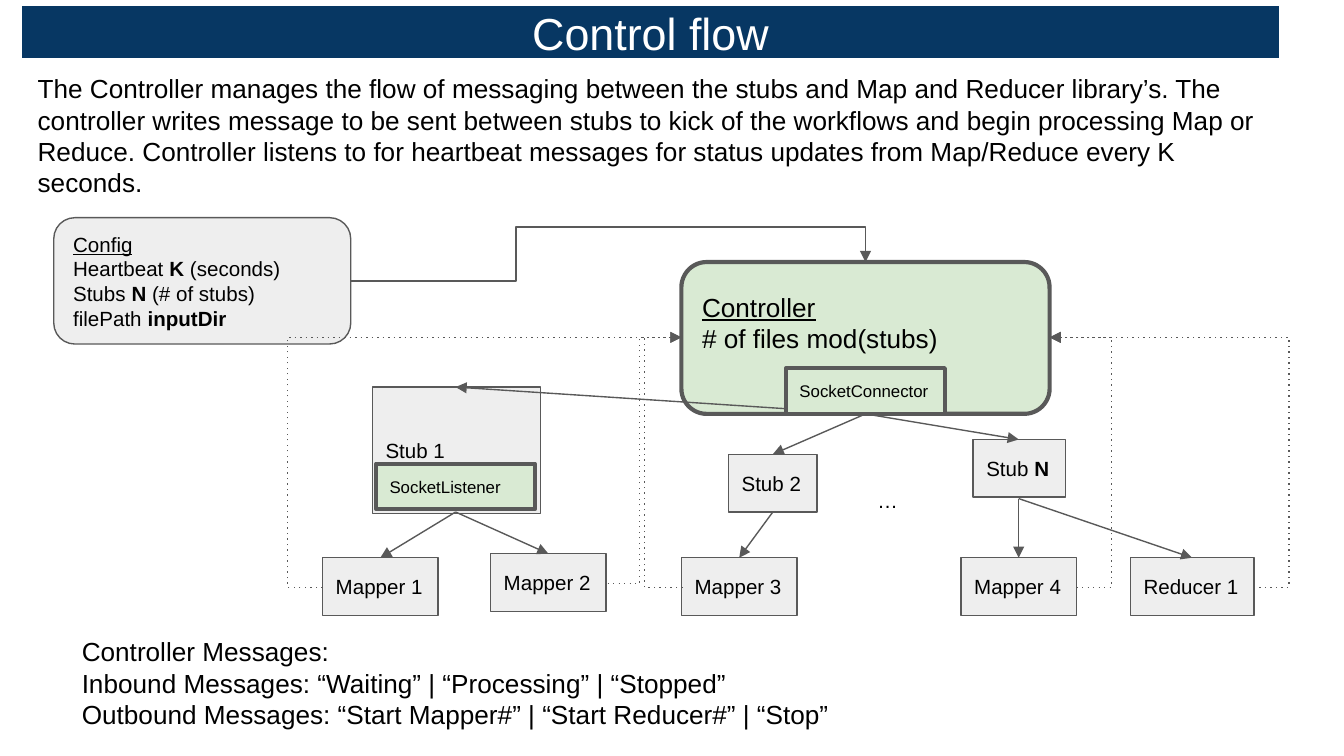
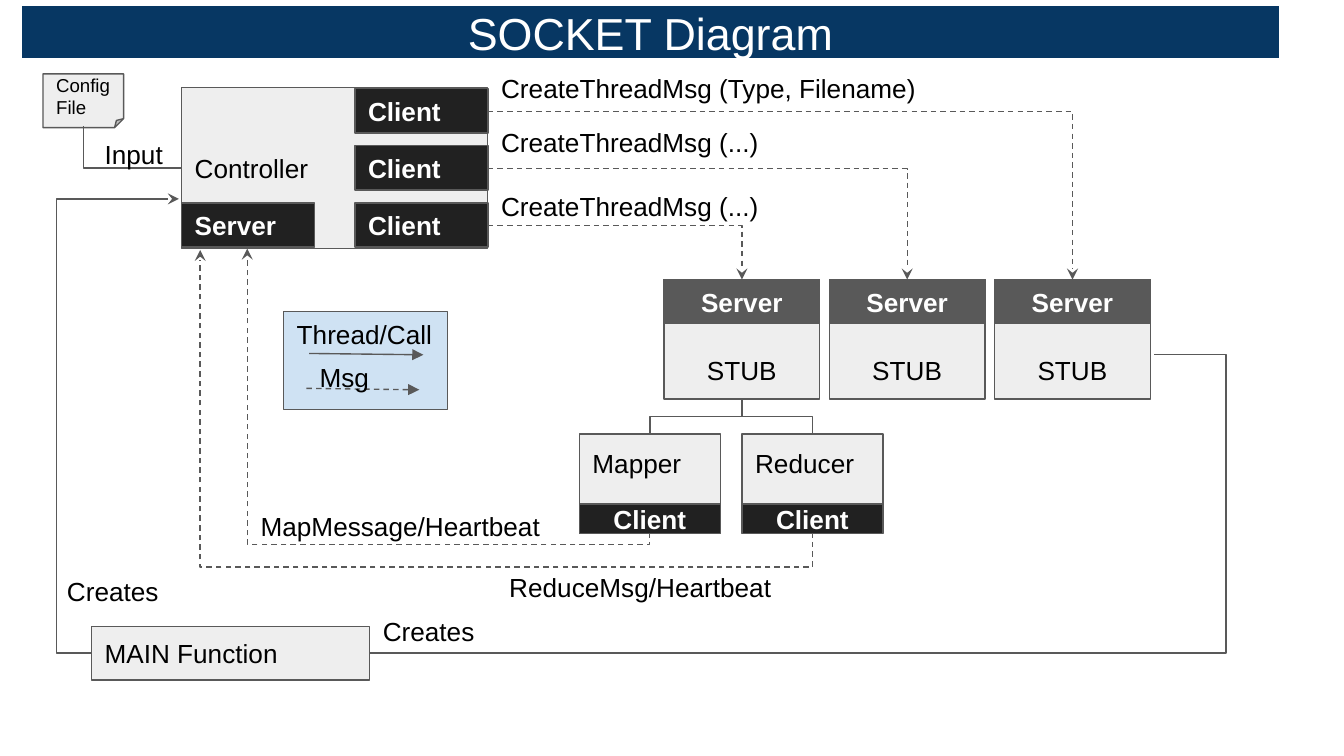
from dataclasses import dataclass
from typing import NamedTuple, Optional

from lxml.etree import SubElement
from pptx import Presentation
from pptx.dml.color import RGBColor
from pptx.enum.shapes import MSO_CONNECTOR as CONN, MSO_SHAPE as SHAPE
from pptx.enum.text import MSO_ANCHOR as ANCHOR, MSO_AUTO_SIZE as AUTOSIZE, PP_ALIGN as ALIGN
from pptx.oxml.ns import qn
from pptx.util import Inches, Pt


@dataclass(frozen=True)
class Theme:
    font: str = "Arial"
    navy: str = "073763"
    white: str = "FFFFFF"
    black: str = "000000"
    ink: str = "212121"
    gray: str = "595959"
    light: str = "EEEEEE"
    green: str = "D9EAD3"
    blue: str = "CFE2F3"
    title: int = 24
    body: int = 14
    label: int = 11
    note: int = 10
    small: int = 9
    thin: float = 0.75
    thick: float = 2.25
    inset: float = 0.1


T = Theme()


class Run(NamedTuple):
    text: str
    bold: bool = False
    underline: bool = False


class Rect(NamedTuple):
    x: float
    y: float
    w: float
    h: float


class Point(NamedTuple):
    x: float
    y: float


@dataclass(frozen=True)
class Box:
    """A filled, outlined shape; each paragraph is a list of runs."""
    at: Rect
    paras: tuple = ()
    size: int = T.body
    fill: str = T.light
    color: str = T.black
    weight: float = T.thin
    kind: SHAPE = SHAPE.RECTANGLE
    anchor: ANCHOR = ANCHOR.MIDDLE
    align: ALIGN = ALIGN.LEFT
    bold: bool = False
    bottom: float = T.inset


@dataclass(frozen=True)
class Arrow:
    """A line; bends alternate between the first and the second axis."""
    start: Point
    end: Point
    head: Optional[str] = "triangle"
    dash: Optional[str] = None
    bends: Optional[tuple] = None  # None is straight, () is one corner
    down_first: bool = False


def rgb(value: str) -> RGBColor:
    return RGBColor.from_string(value)


def apply(target, values: dict) -> None:
    for name, value in values.items():
        setattr(target, name, value)


def place(sp, at: Rect) -> None:
    apply(sp, dict(zip(("left", "top", "width", "height"), map(Inches, at))))


def write(tf, paras, size: int, color: str = T.black, bold: bool = False,
          anchor: ANCHOR = ANCHOR.TOP, align: ALIGN = ALIGN.LEFT,
          bottom: float = T.inset) -> None:
    inset = Inches(T.inset)
    apply(tf, {"word_wrap": True, "auto_size": AUTOSIZE.NONE, "vertical_anchor": anchor,
               "margin_left": inset, "margin_right": inset,
               "margin_top": inset, "margin_bottom": Inches(bottom)})
    for i, runs in enumerate(paras):
        p = tf.add_paragraph() if i else tf.paragraphs[0]
        apply(p, {"alignment": align, "space_before": Pt(0)})
        for run in [Run(runs)] if isinstance(runs, str) else runs:
            r = p.add_run()
            r.text = run.text
            apply(r.font, {"name": T.font, "size": Pt(size), "bold": bold or run.bold,
                           "underline": run.underline})
            r.font.color.rgb = rgb(color)


def paint(sp, fill: str, line: str, weight: float) -> None:
    sp.fill.solid()
    sp.fill.fore_color.rgb = rgb(fill)
    sp.line.color.rgb = rgb(line)
    sp.line.width = Pt(weight)


def add_box(slide, box: Box) -> None:
    sp = slide.shapes.add_shape(box.kind, *map(Inches, box.at))
    sp.shadow.inherit = False
    paint(sp, box.fill, T.gray, box.weight)
    write(sp.text_frame, box.paras, box.size, box.color, box.bold,
          box.anchor, box.align, box.bottom)


def add_label(slide, at: Rect, *paras: str, size: int = T.body) -> None:
    write(slide.shapes.add_textbox(*map(Inches, at)).text_frame, paras, size)


def bend(sp, a: Arrow) -> None:
    """Turn a connector into an elbow that passes through the given bends."""
    dx, dy = a.end.x - a.start.x, a.end.y - a.start.y
    w, h = abs(dx), abs(dy)
    if a.down_first:
        turn, flip = (90, dy < 0) if dx < 0 else (270, dy > 0)
        cx, cy = (a.start.x + a.end.x) / 2, (a.start.y + a.end.y) / 2
        place(sp, Rect(cx - h / 2, cy - w / 2, h, w))
    else:
        turn, flip = (180, dx > 0) if dy < 0 else (0, dx < 0)
    xfrm = sp._element.spPr.find(qn("a:xfrm"))
    xfrm.set("rot", str(turn * 60000))
    xfrm.set("flipH", str(int(flip)))
    xfrm.set("flipV", "0")
    geom = sp._element.spPr.find(qn("a:prstGeom"))
    geom.set("prst", f"bentConnector{len(a.bends) + 2}")
    guides = geom.find(qn("a:avLst"))
    for i, value in enumerate(a.bends):
        axis = (i + a.down_first) % 2
        share = (value - a.start[axis]) / (a.end[axis] - a.start[axis])
        SubElement(guides, qn("a:gd"), name=f"adj{i + 1}", fmla=f"val {round(share * 100000)}")


def add_arrow(slide, a: Arrow) -> None:
    kind = CONN.STRAIGHT if a.bends is None else CONN.ELBOW
    sp = slide.shapes.add_connector(kind, *map(Inches, (*a.start, *a.end)))
    if a.bends is not None:
        bend(sp, a)
    sp.line.color.rgb = rgb(T.gray)
    sp.line.width = Pt(T.thin)
    ln = sp.line._get_or_add_ln()
    if a.dash:
        SubElement(ln, qn("a:prstDash"), val=a.dash)
    if a.head:
        SubElement(ln, qn("a:tailEnd"), type=a.head)
    SubElement(sp._element.spPr, qn("a:effectLst"))


def add_slide(prs, layout: int, title: str):
    """Add a slide with the shared navy title band."""
    slide = prs.slides.add_slide(prs.slide_layouts[layout])
    sp = slide.shapes.title
    place(sp, Rect(0.16, 0.04, 9.36, 0.4))
    paint(sp, T.navy, T.white, T.thin)
    write(sp.text_frame, [title], T.title, T.white, anchor=ANCHOR.MIDDLE, align=ALIGN.CENTER)
    return slide


def build_control_flow(prs) -> None:
    slide = add_slide(prs, 1, "Control flow")

    # Introduction
    body = slide.placeholders[1]
    place(body, Rect(0.18, 0.44, 9.34, 1.13))
    write(body.text_frame, [
        "The Controller manages the flow of messaging between the stubs and Map and Reducer "
        "library’s. The controller writes message to be sent between stubs to kick of the "
        "workflows and begin processing Map or Reduce. Controller listens to for heartbeat "
        "messages for status updates from Map/Reduce every K seconds."], T.body)
    pPr = body.text_frame.paragraphs[0]._p.get_or_add_pPr()
    pPr.set("marL", "0")
    pPr.set("indent", "0")
    SubElement(pPr, qn("a:buNone"))

    # Config, controller and stubs
    config = ([Run("Config", underline=True)],
              [Run("Heartbeat "), Run("K ", True), Run("(seconds)")],
              [Run("Stubs "), Run("N ", True), Run("(# of stubs)")],
              [Run("filePath "), Run("inputDir", True)])
    add_box(slide, Box(Rect(0.4, 1.62, 2.21, 0.94), config, T.label,
                       kind=SHAPE.ROUNDED_RECTANGLE))
    add_box(slide, Box(Rect(5.07, 1.95, 2.74, 1.13),
                       ([Run("Controller", underline=True)], "# of files mod(stubs)"),
                       fill=T.green, weight=T.thick, kind=SHAPE.ROUNDED_RECTANGLE, bottom=0.33))
    for at, text in ((Rect(2.77, 2.88, 1.25, 0.94), "Stub 1"),
                     (Rect(5.42, 3.38, 0.66, 0.43), "Stub 2"),
                     (Rect(7.24, 3.27, 0.69, 0.43), [Run("Stub "), Run("N", True)])):
        add_box(slide, Box(at, (text,), T.label))
    add_label(slide, Rect(6.43, 3.53, 0.37, 0.39), "…", size=T.label)

    # Workers
    for x, y, w, text in ((2.4, 4.15, 0.86, "Mapper 1"), (3.65, 4.12, 0.86, "Mapper 2"),
                          (5.07, 4.15, 0.86, "Mapper 3"), (7.15, 4.15, 0.86, "Mapper 4"),
                          (8.41, 4.15, 0.92, "Reducer 1")):
        add_box(slide, Box(Rect(x, y, w, 0.43), (text,), T.label))

    # Calls from each parent to its children
    calls = {Point(6.44, 3.08): ((3.39, 2.88), (5.75, 3.38), (7.58, 3.27)),
             Point(3.39, 3.81): ((2.83, 4.15), (4.08, 4.12)),
             Point(5.75, 3.81): ((5.5, 4.15),),
             Point(7.58, 3.71): ((7.58, 4.15), (8.87, 4.15))}
    for start, ends in calls.items():
        for end in ends:
            add_arrow(slide, Arrow(start, Point(*end)))
    add_arrow(slide, Arrow(Point(2.61, 2.09), Point(6.44, 1.95), bends=(3.84, 1.69)))

    # Heartbeats back to the controller's sides
    left, right = Point(5.07, 2.51), Point(7.81, 2.51)
    for x, y, end, lane, head in ((2.4, 4.37, left, 2.14, "triangle"),
                                  (4.52, 4.34, left, 4.76, None),
                                  (5.08, 4.37, left, 4.79, "triangle"),
                                  (8.01, 4.37, right, 8.27, "triangle"),
                                  (9.33, 4.37, right, 9.59, "triangle")):
        add_arrow(slide, Arrow(Point(x, y), end, head, "dot", (lane,)))

    # Sockets and message list
    add_label(slide, Rect(0.51, 4.63, 7.12, 1.13), "Controller Messages:",
              "Inbound Messages: “Waiting” | “Processing” | “Stopped”",
              "Outbound Messages: “Start Mapper#” | “Start Reducer#” | “Stop”")
    for x, y, text in ((5.85, 2.74, "SocketConnector"), (2.8, 3.45, "SocketListener")):
        add_box(slide, Box(Rect(x, y, 1.18, 0.34), (text,), T.small, T.green, weight=T.thick))


def add_socket(slide, at: Rect, text: str, fill: str = T.ink,
               align: ALIGN = ALIGN.CENTER) -> None:
    add_box(slide, Box(at, (text,), fill=fill, color=T.white, bold=True, align=align))


def build_socket_diagram(prs) -> None:
    slide = add_slide(prs, 5, "SOCKET Diagram")

    # Controller with its sockets
    add_box(slide, Box(Rect(1.35, 0.65, 2.28, 1.2), ("Controller",)))
    add_socket(slide, Rect(1.35, 1.51, 0.99, 0.33), "Server", align=ALIGN.LEFT)

    # Each client sends to one stub, the top one to the farthest
    for i in range(3):
        y, x = 0.66 + 0.85 * i / 2, 7.4 - 1.23 * i
        add_socket(slide, Rect(2.64, y, 0.99, 0.33), "Client", align=ALIGN.LEFT)
        add_box(slide, Box(Rect(x, 2.08, 1.16, 0.89), ("STUB",),
                           anchor=ANCHOR.BOTTOM, align=ALIGN.CENTER))
        add_socket(slide, Rect(x, 2.08, 1.16, 0.33), "Server", T.gray)
        add_arrow(slide, Arrow(Point(3.63, y + 0.17), Point(x + 0.58, 2.08),
                               "stealth", "dash", ()))

    # Mapper and reducer report to the controller's server
    worker_w = 1.05
    for x, text, target, lane in ((4.31, "Mapper", Point(1.84, 1.85), 4.05),
                                  (5.52, "Reducer", Point(1.49, 1.86), 4.22)):
        center = x + worker_w / 2
        add_box(slide, Box(Rect(x, 3.23, worker_w, 0.73), (text,), anchor=ANCHOR.TOP))
        add_arrow(slide, Arrow(Point(5.52, 2.97), Point(center, 3.23), None,
                               bends=(3.1,), down_first=True))
        add_arrow(slide, Arrow(Point(center, 3.96), target, "stealth", "dash",
                               (lane,), down_first=True))
        add_socket(slide, Rect(x, 3.75, worker_w, 0.22), "Client")

    # Config file and main function
    add_box(slide, Box(Rect(0.32, 0.55, 0.6, 0.4), ("Config File",), T.note,
                       kind=SHAPE.FOLDED_CORNER))
    add_box(slide, Box(Rect(0.68, 4.66, 2.07, 0.4), ("MAIN Function",)))
    for arrow in (Arrow(Point(1.35, 1.25), Point(0.62, 0.94), None, bends=()),
                  Arrow(Point(0.68, 4.86), Point(1.33, 1.48), "stealth", bends=(0.42,)),
                  Arrow(Point(2.75, 4.86), Point(8.59, 2.64), None, bends=(9.12,))):
        add_arrow(slide, arrow)

    # Legend
    add_box(slide, Box(Rect(2.11, 2.32, 1.22, 0.73), fill=T.blue))
    add_arrow(slide, Arrow(Point(2.3, 2.63), Point(3.15, 2.64)))
    add_arrow(slide, Arrow(Point(2.28, 2.89), Point(3.12, 2.9), dash="dash"))

    # Labels
    for x, y, w, text in ((2.28, 2.59, 0.6, "Msg"), (2.11, 2.27, 1.53, "Thread/Call"),
                          (3.63, 0.44, 3.88, "CreateThreadMsg (Type, Filename)"),
                          (3.63, 0.84, 2.94, "CreateThreadMsg (...)"),
                          (3.63, 1.32, 2.94, "CreateThreadMsg (...)"),
                          (1.84, 3.7, 2.41, "MapMessage/Heartbeat"),
                          (3.69, 4.15, 2.28, "ReduceMsg/Heartbeat"),
                          (0.68, 0.93, 0.72, "Input"),
                          (2.75, 4.48, 6.73, "Creates"), (0.4, 4.18, 6.73, "Creates")):
        add_label(slide, Rect(x, y, w, 0.43), text)


def main() -> None:
    prs = Presentation()
    prs.slide_width = Inches(10)
    prs.slide_height = Inches(10 * 9 / 16)
    build_control_flow(prs)
    build_socket_diagram(prs)
    prs.save("out.pptx")


if __name__ == "__main__":
    main()
